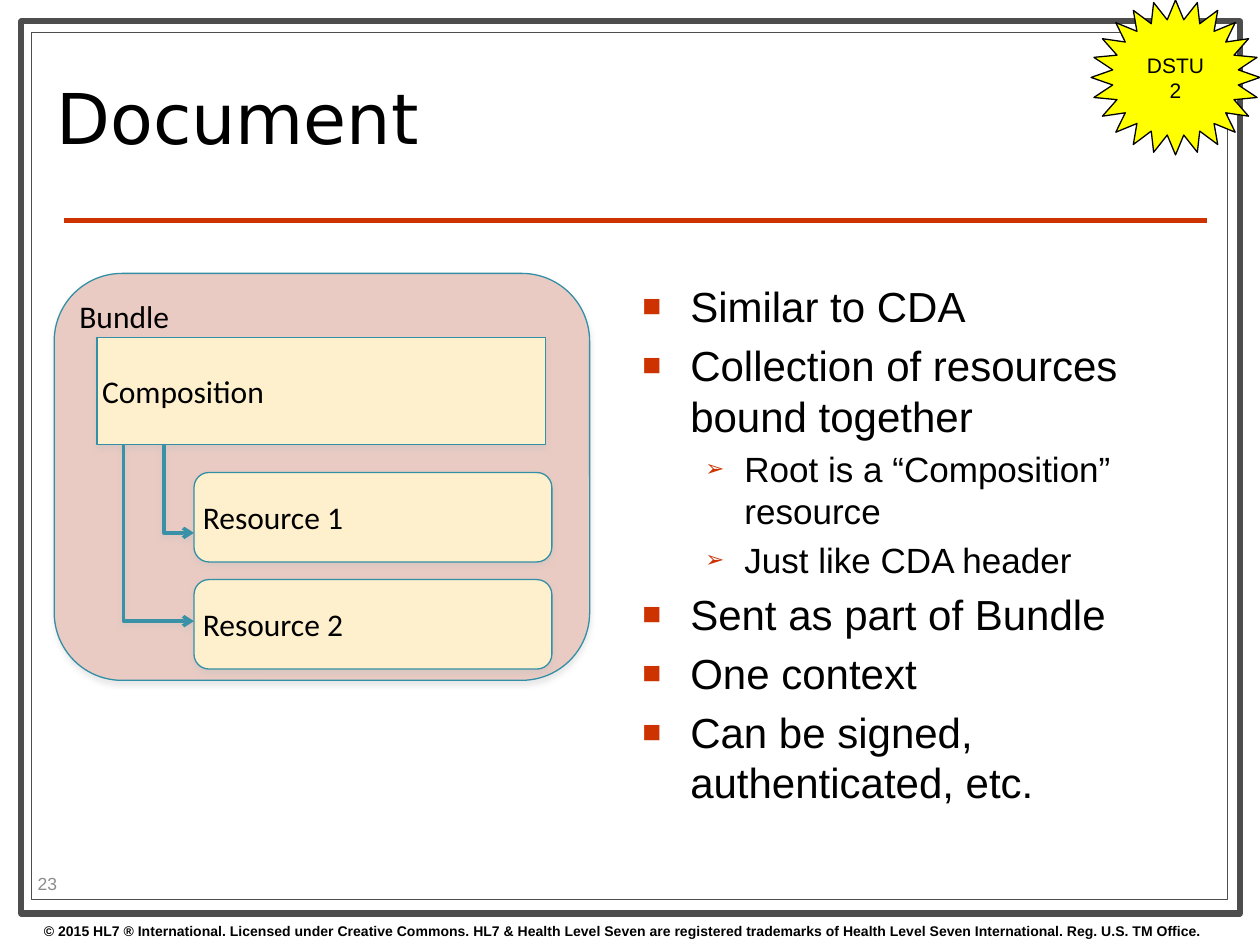
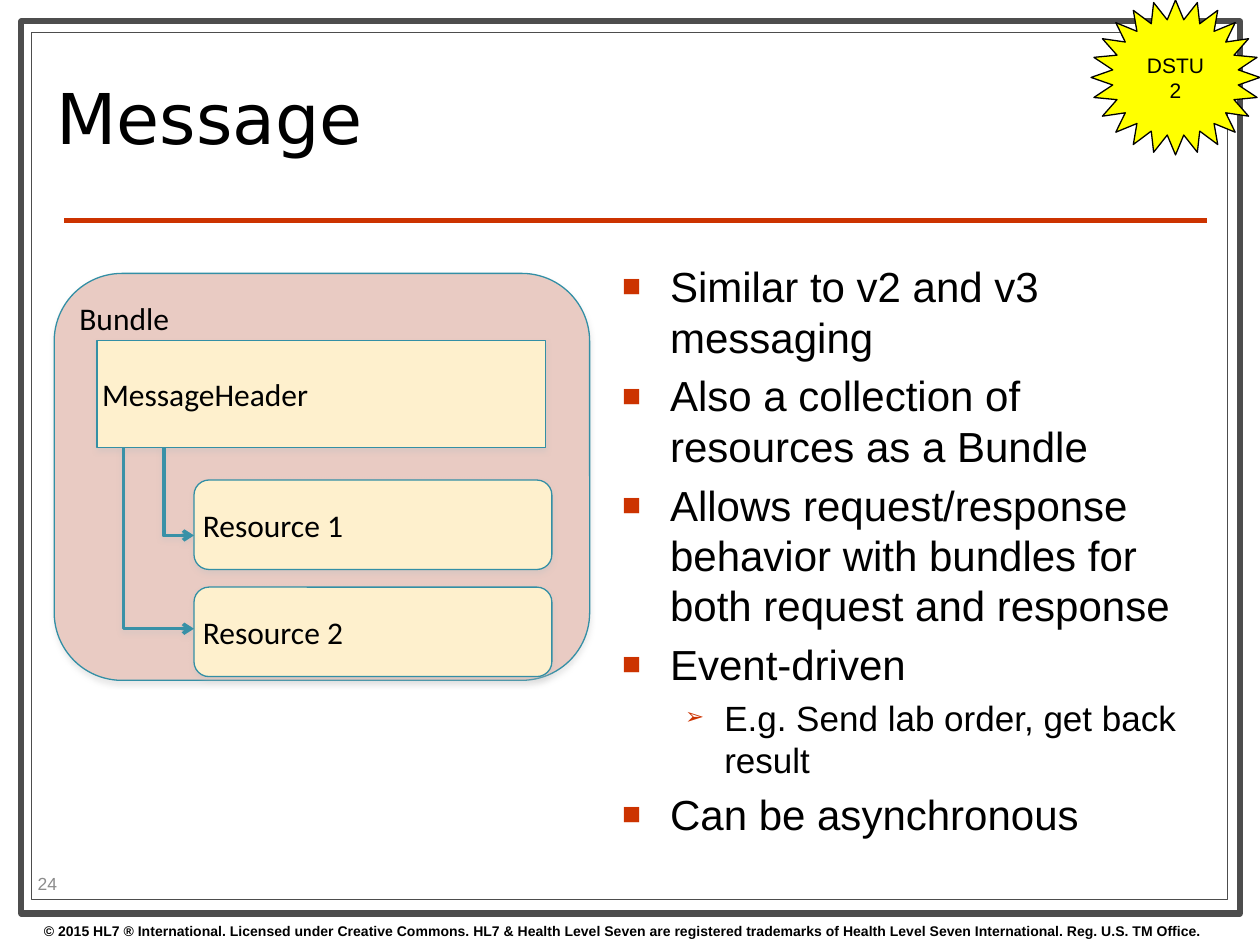
from dataclasses import dataclass

from lxml import etree
from pptx import Presentation
from pptx import util as u
from pptx.dml.color import RGBColor
from pptx.enum import shapes, text
from pptx.oxml import ns

SHAPE = shapes.MSO_SHAPE
MIDDLE = text.MSO_ANCHOR.MIDDLE


# Theme, shared wording and record types
@dataclass(frozen=True)
class Theme:
    black: str = "000000"
    white: str = "FFFFFF"
    frame: str = "4D4D4D"
    accent: str = "CC3300"
    number: str = "8C8C8C"
    bundle: str = "E9CBC3"
    resource: str = "FEF0CD"
    outline: str = "338FA5"
    link: str = "3891A7"
    star: str = "FFFF00"
    shadow: str = "C0C0C0"
    body_font: str = "Arial"
    title_font: str = "DejaVu Sans"
    diagram_font: str = "Calibri"
    title_size: int = 40
    diagram_size: int = 18
    star_size: int = 12
    number_size: int = 10
    footer_size: int = 8


@dataclass(frozen=True)
class Box:
    left: float
    top: float
    width: float
    height: float

    def lengths(self) -> list:
        return [u.Inches(v) for v in (self.left, self.top, self.width, self.height)]


@dataclass(frozen=True)
class Style:
    size: float
    font: str
    color: str
    bold: bool = False


@dataclass(frozen=True)
class Bullet:
    char: str
    margin: float
    hanging: float
    percent: int
    size: int


@dataclass(frozen=True)
class Diagram:
    header: str
    label_top: float
    header_top: float
    resource_top: float
    link_ends: tuple


@dataclass(frozen=True)
class Page:
    title: str
    number: int
    diagram: Diagram
    body: Box
    points: list


T = Theme()
FOOTER = ("© 2015 HL7 ® International. Licensed under Creative Commons. HL7 & Health Level "
          "Seven are registered trademarks of Health Level Seven International. "
          "Reg. U.S. TM Office.")
BULLETS = (Bullet("■", 0.38, 0.38, 75, 24), Bullet("➢", 0.81, 0.31, 65, 20))
DIAGRAM_STYLE = Style(T.diagram_size, T.diagram_font, T.black)
TIGHT = 0.04
RESOURCE_STEP = 0.85
LINK_XS = (1.3, 0.98)
RESOURCE_LEFT = 1.54

PAGES = [
    Page("Document", 23,
         Diagram("Composition", 2.32, 2.68, 3.75, (4.23, 4.93)),
         Box(5, 2.18, 4.25, 4.49),
         [(0, "Similar to CDA"),
          (0, "Collection of resources bound together"),
          (1, "Root is a “Composition” resource"),
          (1, "Just like CDA header"),
          (0, "Sent as part of Bundle"),
          (0, "One context"),
          (0, "Can be signed, authenticated, etc.")]),
    Page("Message", 24,
         Diagram("MessageHeader", 2.33, 2.7, 3.81, (4.25, 4.99)),
         Box(4.84, 2.02, 4.74, 4.88),
         [(0, "Similar to v2 and v3 messaging"),
          (0, "Also a collection of resources as a Bundle"),
          (0, "Allows request/response behavior with bundles for both request and response"),
          (0, "Event-driven"),
          (1, "E.g. Send lab order, get back result"),
          (0, "Can be asynchronous")]),
]


# Drawing helpers
def set_all(target, values: dict) -> None:
    for name, value in values.items():
        setattr(target, name, value)


def add_xml(parent, tag: str, **attrs):
    return etree.SubElement(parent, ns.qn(tag), {k: str(v) for k, v in attrs.items()})


def style_font(font, style: Style) -> None:
    set_all(font, {"size": u.Pt(style.size), "name": style.font, "bold": style.bold})
    font.color.rgb = RGBColor.from_string(style.color)


def write(s, words: str, style: Style, inset: float | None = None,
          anchor=text.MSO_ANCHOR.TOP, **para):
    tf = s.text_frame
    set_all(tf, {"word_wrap": True, "vertical_anchor": anchor})
    if inset is not None:
        sides = ("left", "top", "right", "bottom")
        set_all(tf, {f"margin_{side}": u.Inches(inset) for side in sides})
    p = tf.paragraphs[0]
    set_all(p, {"alignment": text.PP_ALIGN.LEFT, **para})
    r = p.add_run()
    r.text = words
    style_font(r.font, style)


def add_text(slide, box: Box, words: str, style: Style, **options) -> None:
    write(slide.shapes.add_textbox(*box.lengths()), words, style, **options)


def set_line(s, color: str, width: float) -> None:
    s.line.color.rgb = RGBColor.from_string(color)
    s.line.width = u.Pt(width)


def add_shadow(s, alpha: int, distance: float) -> None:
    s.shadow.inherit = False
    effects = s._element.spPr.find(ns.qn("a:effectLst"))
    outer = add_xml(effects, "a:outerShdw", blurRad=u.Pt(3), dist=u.Pt(distance),
                    dir=90 * 60000, rotWithShape=0)
    color = add_xml(outer, "a:srgbClr", val=T.shadow)
    add_xml(color, "a:alpha", val=alpha * 1000)


def add_box(slide, kind, box: Box, fill: str, line: str, width: float = 0.75,
            shadow: bool = False):
    s = slide.shapes.add_shape(kind, *box.lengths())
    s.shadow.inherit = False
    s.fill.solid()
    s.fill.fore_color.rgb = RGBColor.from_string(fill)
    set_line(s, line, width)
    if shadow:
        add_shadow(s, 35, 1.8)
    return s


# Slide parts
def draw_frame(slide, page: Page) -> None:
    add_box(slide, SHAPE.RECTANGLE, Box(0.17, 0.17, 9.67, 7.08), T.white, T.frame, 3.5)
    add_box(slide, SHAPE.RECTANGLE, Box(0.25, 0.26, 9.49, 6.88), T.white, T.frame)
    rule = slide.shapes.add_connector(
        shapes.MSO_CONNECTOR.STRAIGHT,
        u.Inches(0.51), u.Inches(1.75), u.Inches(9.58), u.Inches(1.75))
    set_line(rule, T.accent, 3)
    add_xml(rule._element.spPr, "a:effectLst")
    add_text(slide, Box(0.25, 7.27, 10, 0.23), FOOTER,
             Style(T.footer_size, T.body_font, T.black, bold=True))
    add_text(slide, Box(0.35, 0.36, 7.17, 1.26), page.title,
             Style(T.title_size, T.title_font, T.black), anchor=MIDDLE, line_spacing=0.8)
    add_text(slide, Box(0.2, 6.89, 0.79, 0.24), str(page.number),
             Style(T.number_size, T.body_font, T.number), anchor=MIDDLE)


def draw_link(slide, x: float, top: float, bottom: float) -> None:
    corners = [(u.Inches(x), u.Inches(bottom)), (u.Inches(RESOURCE_LEFT), u.Inches(bottom))]
    builder = slide.shapes.build_freeform(u.Inches(x), u.Inches(top))
    s = builder.add_line_segments(corners, close=False).convert_to_shape()
    s.fill.background()
    set_line(s, T.link, 2)
    add_xml(s._element.spPr.find(ns.qn("a:ln")), "a:tailEnd", type="arrow")
    add_shadow(s, 38, 1.6)


def draw_diagram(slide, diagram: Diagram) -> None:
    add_box(slide, SHAPE.ROUNDED_RECTANGLE, Box(0.43, 2.17, 4.25, 3.23),
            T.bundle, T.outline, shadow=True)
    add_text(slide, Box(0.59, diagram.label_top, 3.93, 0.39), "Bundle",
             DIAGRAM_STYLE, inset=TIGHT)
    for i in range(2):
        top = diagram.resource_top + i * RESOURCE_STEP
        add_box(slide, SHAPE.ROUNDED_RECTANGLE, Box(RESOURCE_LEFT, top, 2.84, 0.71),
                T.resource, T.outline, shadow=True)
        add_text(slide, Box(1.57, top + 0.16, 2.77, 0.39), f"Resource {i + 1}",
                 DIAGRAM_STYLE, inset=TIGHT, anchor=MIDDLE)
    header = Box(0.77, diagram.header_top, 3.56, 0.85)
    s = add_box(slide, SHAPE.RECTANGLE, header, T.resource, T.outline, shadow=True)
    write(s, diagram.header, DIAGRAM_STYLE, inset=TIGHT, anchor=MIDDLE)
    for x, end in zip(LINK_XS, diagram.link_ends):
        draw_link(slide, x, header.top + header.height, end)


def draw_points(slide, box: Box, points: list) -> None:
    tf = slide.shapes.add_textbox(*box.lengths()).text_frame
    tf.word_wrap = True
    for i, (level, words) in enumerate(points):
        bullet = BULLETS[level]
        p = tf.paragraphs[0] if i == 0 else tf.add_paragraph()
        pPr = p._p.get_or_add_pPr()
        pPr.set("marL", str(u.Inches(bullet.margin)))
        pPr.set("indent", str(-u.Inches(bullet.hanging)))
        add_xml(add_xml(pPr, "a:buClr"), "a:srgbClr", val=T.accent)
        add_xml(pPr, "a:buSzPct", val=bullet.percent * 1000)
        add_xml(pPr, "a:buFont", typeface=T.body_font)
        add_xml(pPr, "a:buChar", char=bullet.char)
        space = u.Pt(bullet.size * 0.2 if i else 0)
        set_all(p, {"level": level, "space_before": space})
        r = p.add_run()
        r.text = words
        style_font(r.font, Style(bullet.size, T.body_font, T.black))


def draw_star(slide) -> None:
    s = add_box(slide, SHAPE.STAR_24_POINT, Box(8.66, 0, 1.34, 1.23), T.star, T.black)
    write(s, "DSTU 2", Style(T.star_size, T.body_font, T.black), anchor=MIDDLE,
          alignment=text.PP_ALIGN.CENTER)


def main() -> None:
    prs = Presentation()
    set_all(prs, {"slide_width": u.Inches(10), "slide_height": u.Inches(7.5)})
    for page in PAGES:
        slide = prs.slides.add_slide(prs.slide_layouts[6])
        draw_frame(slide, page)
        draw_diagram(slide, page.diagram)
        draw_points(slide, page.body, page.points)
        draw_star(slide)
    prs.save("out.pptx")


if __name__ == "__main__":
    main()
